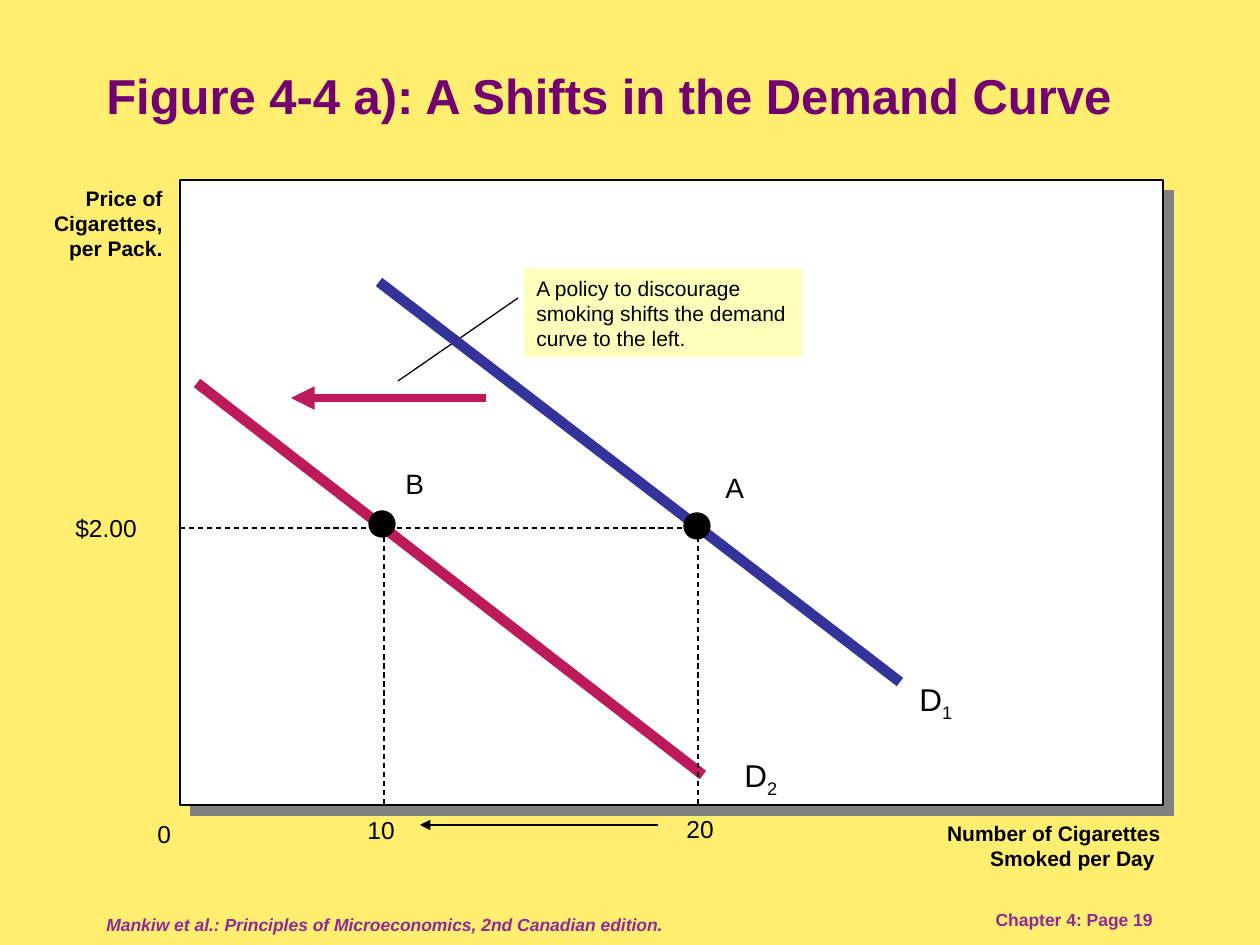
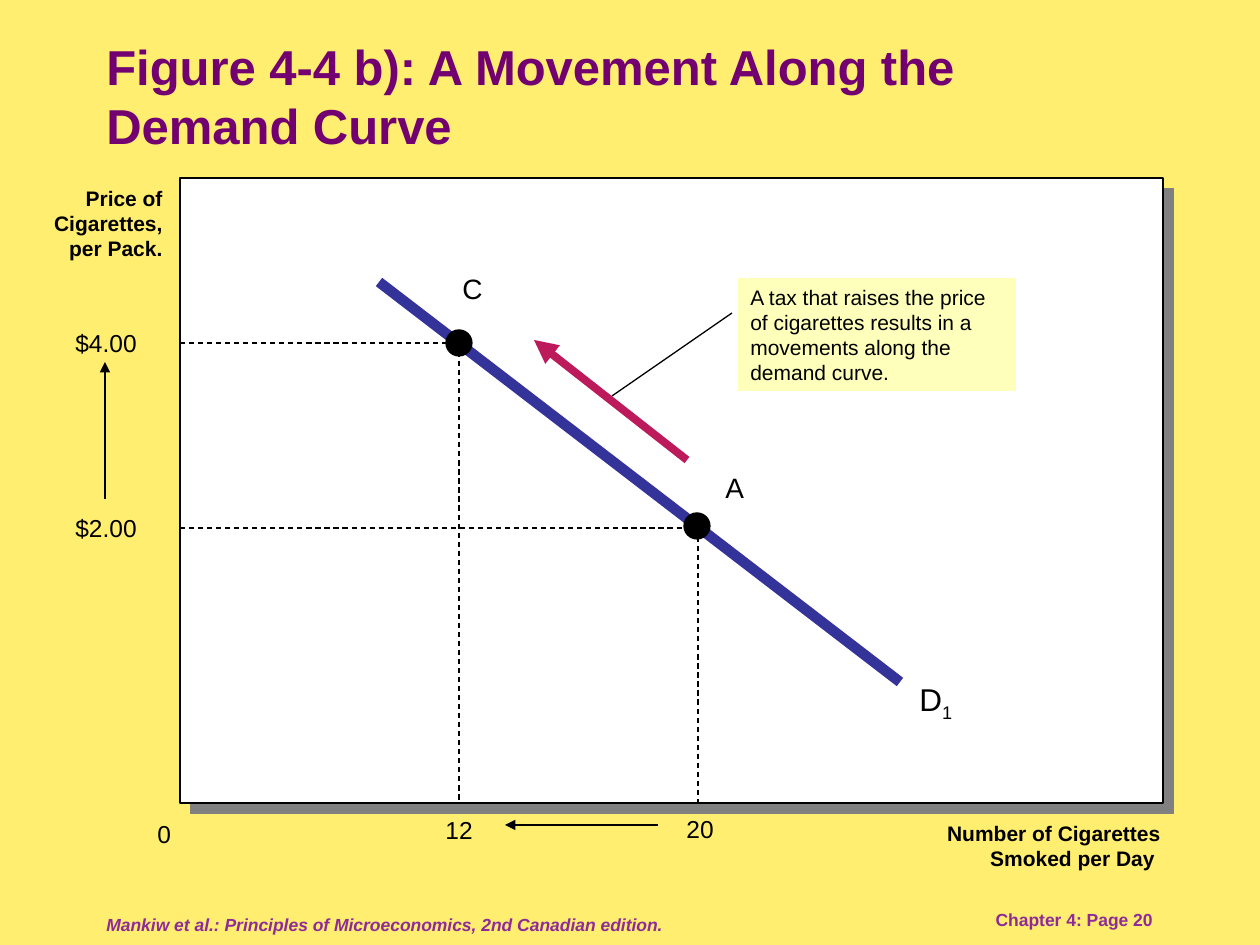
from dataclasses import dataclass

from lxml.etree import SubElement
from pptx import Presentation
from pptx.dml.color import RGBColor
from pptx.enum.dml import MSO_LINE
from pptx.enum.shapes import MSO_CONNECTOR, MSO_SHAPE
from pptx.enum.text import MSO_ANCHOR, PP_ALIGN
from pptx.oxml.ns import qn
from pptx.util import Emu, Pt


@dataclass(frozen=True)
class Theme:
    font: str = "Arial"
    background: str = "FFEE70"
    title: str = "720070"
    footer: str = "8F2B99"
    ink: str = "000000"
    plot: str = "FFFFFF"
    shadow: str = "808080"
    note: str = "FEFFBA"
    demand: str = "333399"
    shift: str = "BC1A5A"
    title_pt: int = 28
    curve_pt: int = 18
    point_pt: int = 16
    value_pt: int = 14
    body_pt: int = 12
    footer_pt: int = 10
    thin: float = 0.75
    arrow: float = 4.5
    curve: float = 6


@dataclass(frozen=True)
class Point:
    name: str
    corner: tuple      # where the dashed guides meet
    dot: tuple         # centre of the dot
    name_at: tuple
    quantity: str
    quantity_at: tuple
    price: str = ""    # empty when another point already marks this price


THEME = Theme()
PX = 914400 / 126
SLIDE_W, SLIDE_H = 1260, 945
PLOT_X, PLOT_W, PLOT_H = 180, 983, 625
DOT = 26
VALUE_H = 42

SOURCE = "Mankiw et al.: Principles of Microeconomics, 2nd Canadian edition."
PRICE_AXIS = "Price of Cigarettes, per Pack."
QUANTITY_AXIS = "Number of Cigarettes Smoked per Day "

A = Point("A", (698, 528), (697, 526), (713, 464), "20", (674, 808), "$2.00")
B = Point("B", (384, 528), (382, 524), (393, 460), "10", (355, 809))
C = Point("C", (459, 343), (459, 343), (450, 265), "12", (433, 809), "$4.00")

# index, start, end, label position, colour
D1 = ("1", (379, 282), (900, 682), (907, 674), THEME.demand)
D2 = ("2", (197, 383), (703, 775), (732, 750), THEME.shift)

FIGURES = [
    dict(
        title="Figure 4-4 a): A Shifts in the Demand Curve",
        page=19,
        plot_y=180,
        curves=[D2, D1],
        points=[A, B],
        note="A policy to discourage smoking shifts the demand curve to the left.",
        note_box=(524, 269, 278, 88),
        leader=((518, 298), (398, 381)),
        shift=((486, 398), (291, 398)),
        axis_arrows=[((658, 825), (420, 825))],
    ),
    dict(
        title="Figure 4-4 b): A Movement Along the Demand Curve",
        page=20,
        plot_y=178,
        curves=[D1],
        points=[A, C],
        note="A tax that raises the price of cigarettes results in a "
             "movements along the demand curve.",
        note_box=(738, 278, 278, 113),
        leader=((732, 313), (612, 396)),
        shift=((687, 460), (534, 340)),
        axis_arrows=[((658, 825), (505, 825)), ((105, 499), (105, 362))],
    ),
]


def px(*values):
    return [Emu(round(v * PX)) for v in values]


def rgb(color):
    return RGBColor.from_string(color)


def write(sp, runs, size, color=THEME.ink, bold=False, italic=False,
          align=PP_ALIGN.LEFT, anchor=MSO_ANCHOR.TOP):
    """Fill a shape with one paragraph of (text, is_subscript) runs."""
    tf = sp.text_frame
    tf.word_wrap = True
    tf.vertical_anchor = anchor
    p = tf.paragraphs[0]
    p.alignment = align
    for text, subscript in runs:
        r = p.add_run()
        r.text = text
        r.font.name, r.font.size = THEME.font, Pt(size)
        r.font.bold, r.font.italic = bold, italic
        r.font.color.rgb = rgb(color)
        if subscript:
            r.font._element.set("baseline", "-25000")


def add_text(s, text, box, size, **style):
    runs = [(text, False)] if isinstance(text, str) else text
    write(s.shapes.add_textbox(*px(*box)), runs, size, **style)


def add_block(s, kind, box, fill, outlined=True):
    sp = s.shapes.add_shape(kind, *px(*box))
    sp.shadow.inherit = False
    sp.fill.solid()
    sp.fill.fore_color.rgb = rgb(fill)
    if outlined:
        sp.line.color.rgb = rgb(THEME.ink)
        sp.line.width = Pt(THEME.thin)
    else:
        sp.line.fill.background()
    return sp


def add_line(s, start, end, color=THEME.ink, width=THEME.thin,
             dashed=False, arrow=False):
    cx = s.shapes.add_connector(MSO_CONNECTOR.STRAIGHT, *px(*start, *end))
    cx.line.color.rgb = rgb(color)
    cx.line.width = Pt(width)
    if dashed:
        cx.line.dash_style = MSO_LINE.DASH
    sp_pr = cx._element.spPr
    if arrow:
        SubElement(sp_pr.find(qn("a:ln")), qn("a:tailEnd"), type="triangle")
    SubElement(sp_pr, qn("a:effectLst"))


def add_plot_area(s, top):
    sp = add_block(s, MSO_SHAPE.RECTANGLE, (PLOT_X, top, PLOT_W, PLOT_H), THEME.plot)
    effects = sp._element.spPr.find(qn("a:effectLst"))
    shadow = SubElement(effects, qn("a:outerShdw"), dist=str(Pt(8.5)),
                        dir=str(45 * 60000), algn="ctr", rotWithShape="0")
    SubElement(shadow, qn("a:srgbClr"), val=THEME.shadow)


def add_frame(s, fig):
    """Draw what every figure has: background, title, footers, plot and axis names."""
    s.background.fill.solid()
    s.background.fill.fore_color.rgb = rgb(THEME.background)
    footer = dict(size=THEME.footer_pt, color=THEME.footer, bold=True)
    axis = dict(size=THEME.body_pt, bold=True, align=PP_ALIGN.RIGHT)
    add_text(s, SOURCE, (94, 903, 746, 42), italic=True,
             anchor=MSO_ANCHOR.MIDDLE, **footer)
    add_text(s, f"Chapter 4: Page {fig['page']}", (903, 903, 262, 32),
             align=PP_ALIGN.RIGHT, **footer)
    add_text(s, fig["title"], (94, 53, 1071, 84), THEME.title_pt,
             color=THEME.title, bold=True, anchor=MSO_ANCHOR.MIDDLE)
    add_plot_area(s, fig["plot_y"])
    add_text(s, PRICE_AXIS, (27, 179, 148, 88), **axis)
    add_text(s, QUANTITY_AXIS, (903, 814, 270, 63), **axis)
    add_text(s, "0", (145, 813, 45, VALUE_H), THEME.value_pt)


def add_note(s, fig):
    sp = add_block(s, MSO_SHAPE.RECTANGLE, fig["note_box"], THEME.note, outlined=False)
    write(sp, [(fig["note"], False)], THEME.body_pt)
    add_line(s, *fig["shift"], color=THEME.shift, width=THEME.arrow, arrow=True)
    add_line(s, *fig["leader"])


def add_curve(s, index, start, end, label_at, color):
    add_line(s, start, end, color, THEME.curve)
    add_text(s, [("D", False), (index, True)], (*label_at, 78, 50), THEME.curve_pt)


def add_point(s, point, floor):
    """Draw the guides to both axes, the dot and the labels of a point."""
    x, y = point.corner
    if point.price:
        add_line(s, (PLOT_X, y), (x, y), dashed=True)
        add_text(s, point.price, (63, y - VALUE_H / 2, 112, VALUE_H), THEME.value_pt)
    add_line(s, (x, y), (x, floor), dashed=True)
    add_text(s, point.quantity, (*point.quantity_at, 58, VALUE_H), THEME.value_pt)
    left, top = (c - DOT / 2 for c in point.dot)
    add_block(s, MSO_SHAPE.OVAL, (left, top, DOT, DOT), THEME.ink)
    add_text(s, point.name, (*point.name_at, 39, 47), THEME.point_pt)


def add_figure(prs, fig):
    s = prs.slides.add_slide(prs.slide_layouts[6])
    add_frame(s, fig)
    add_note(s, fig)
    for curve in fig["curves"]:
        add_curve(s, *curve)
    for point in fig["points"]:
        add_point(s, point, fig["plot_y"] + PLOT_H)
    for start, end in fig["axis_arrows"]:
        add_line(s, start, end, arrow=True)


def main():
    prs = Presentation()
    prs.slide_width, prs.slide_height = px(SLIDE_W, SLIDE_H)
    for fig in FIGURES:
        add_figure(prs, fig)
    prs.save("out.pptx")


if __name__ == "__main__":
    main()
